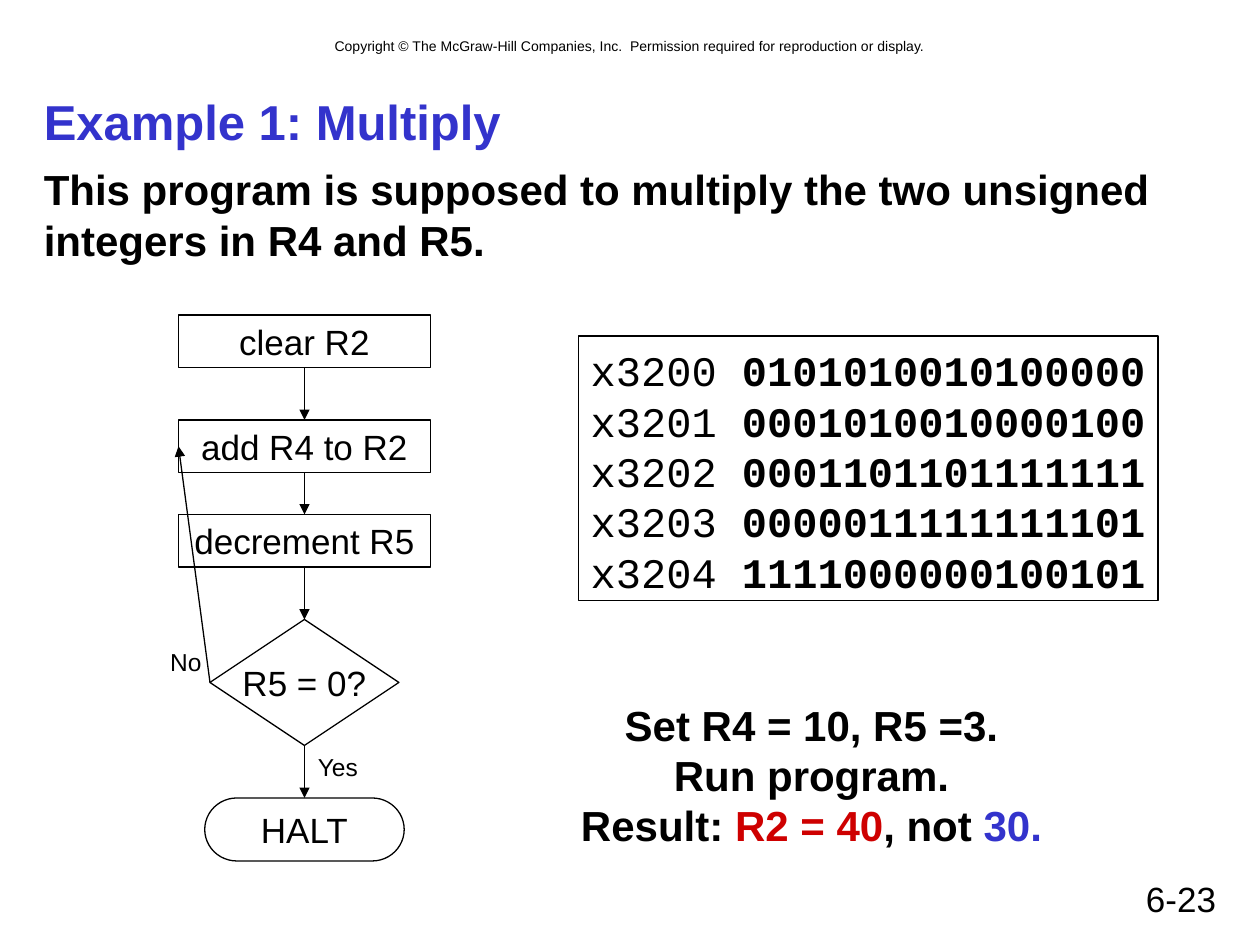
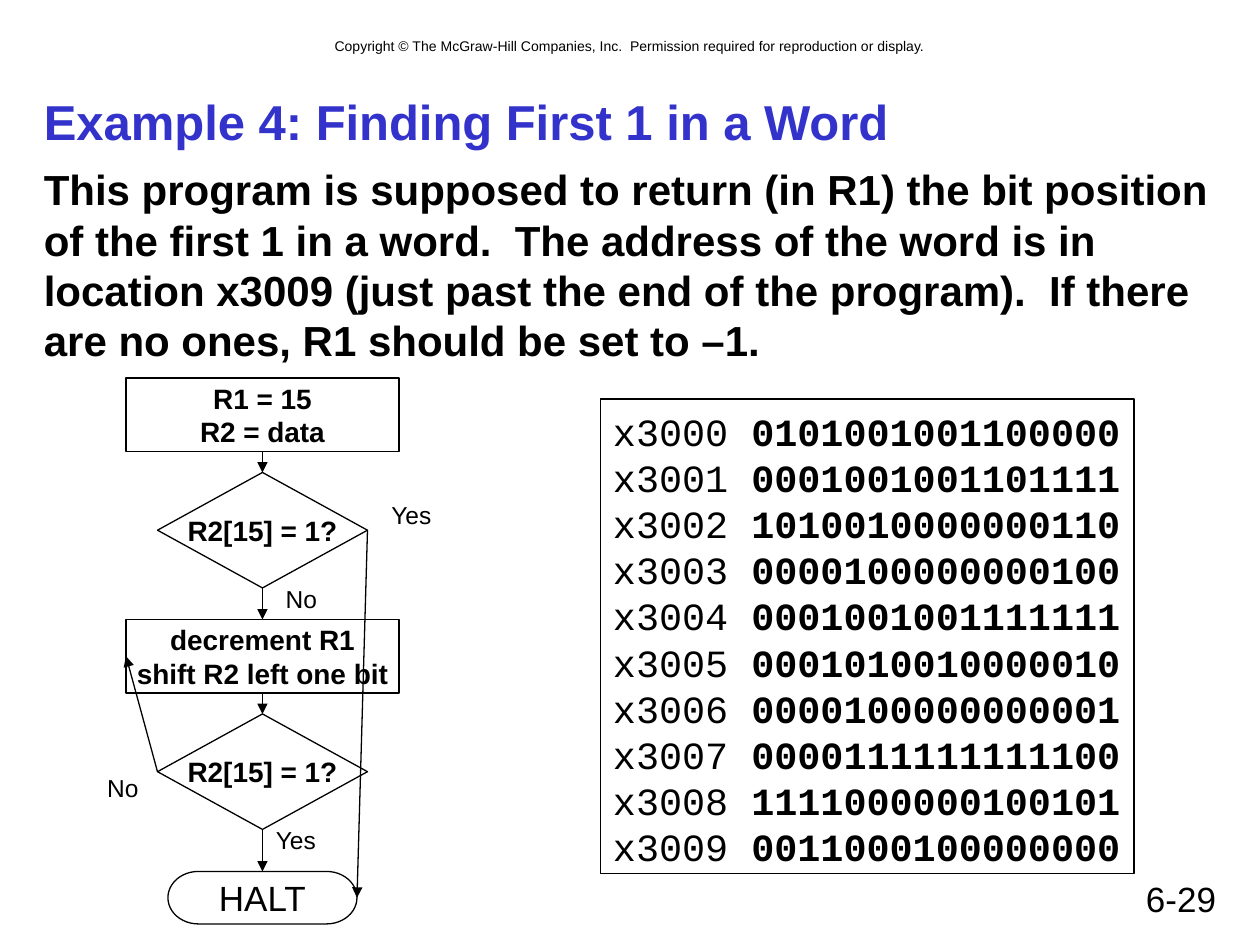
from pptx import Presentation
from pptx.dml.color import RGBColor
from pptx.enum.shapes import MSO_CONNECTOR, MSO_SHAPE
from pptx.enum.text import MSO_ANCHOR, PP_ALIGN
from pptx.oxml.ns import qn
from pptx.util import Pt
from lxml import etree

STEP = MSO_SHAPE.FLOWCHART_PROCESS
TEST = MSO_SHAPE.FLOWCHART_DECISION
STOP = MSO_SHAPE.FLOWCHART_TERMINATOR
RECT = MSO_SHAPE.RECTANGLE
LINE = MSO_CONNECTOR.STRAIGHT
LEFT, MID, RIGHT = PP_ALIGN.LEFT, PP_ALIGN.CENTER, PP_ALIGN.RIGHT
TOP, CENTER = MSO_ANCHOR.TOP, MSO_ANCHOR.MIDDLE
NORTH, WEST, SOUTH, EAST = range(4)

COLORS = {"ink": "000000", "blue": "3333CC", "red": "CE0000"}
SANS, MONO = "Arial", "Courier New"
LEAD = 1.2
PAD_X, PAD_Y = 7.2, 3.6
COPY = ("Copyright © The McGraw-Hill Companies, Inc.  "
        "Permission required for reproduction or display.")


def color(name):
    return RGBColor.from_string(COLORS[name])


def write(shape, lines, size=20, font=SANS, ink="ink", bold=False,
          align=LEFT, anchor=TOP, wrap=False, drop=0):
    frame = shape.text_frame
    frame.word_wrap = wrap
    frame.vertical_anchor = anchor
    frame.margin_left = frame.margin_right = Pt(PAD_X)
    frame.margin_top, frame.margin_bottom = Pt(PAD_Y + drop), Pt(PAD_Y)
    for i, line in enumerate(lines):
        para = frame.add_paragraph() if i else frame.paragraphs[0]
        para.alignment = align
        para.line_spacing = Pt(LEAD * size)
        parts = [(line, {})] if isinstance(line, str) else line
        for text, style in parts:
            for j, piece in enumerate(text.split("\n")):
                if j:
                    para.add_line_break()
                run = para.add_run()
                run.text = piece
                run.font.name = font
                run.font.size = Pt(size)
                run.font.bold = style.get("bold", bold)
                run.font.color.rgb = color(style.get("ink", ink))


def label(slide, box, lines, **style):
    shape = slide.shapes.add_textbox(*map(Pt, box))
    write(shape, lines, **style)


def outline(slide, kind, box):
    shape = slide.shapes.add_shape(kind, *map(Pt, box))
    shape.shadow.inherit = False
    shape.fill.background()
    shape.line.color.rgb = color("ink")
    shape.line.width = Pt(0.75)
    return shape


def arrow(slide, start, out, end, into):
    link = slide.shapes.add_connector(LINE, 0, 0, 0, 0)
    link.begin_connect(start, out)
    link.end_connect(end, into)
    link.line.color.rgb = color("ink")
    link.line.width = Pt(0.75)
    etree.SubElement(link.line._get_or_add_ln(), qn("a:tailEnd"), type="triangle")
    etree.SubElement(link._element.spPr, qn("a:effectLst"))


def page(deck, title, body, number):
    slide = deck.slides.add_slide(deck.slide_layouts[6])
    label(slide, (48, 18, 624, 17), [COPY], size=8, align=MID, wrap=True)
    label(slide, (516, 498, 186, 30), [number], align=RIGHT, wrap=True)
    label(slide, (18, 48, 684, 42), [title], size=28, ink="blue", bold=True,
          anchor=CENTER, wrap=True)
    label(slide, (18, 90, 684, 78), [body], size=24, bold=True, wrap=True)
    return slide


def listing(slide, left, top, size, start, words):
    width = 22 * 0.6 * size + 2 * PAD_X
    height = len(words) * LEAD * size + 2 * PAD_Y
    lines = [[(f"x{start + i:04X}", {}), (" " + word, {"bold": True})]
             for i, word in enumerate(words)]
    shape = outline(slide, RECT, (left, top, width, height))
    write(shape, lines, size=size, font=MONO, drop=0.06 * size)


def flow(slide, axis, top, steps, loops, notes):
    nodes = []
    for kind, down, wide, high, lines, size, bold in steps:
        node = outline(slide, kind, (axis - wide / 2, top + down, wide, high))
        write(node, lines, size=size, bold=bold, align=MID, anchor=CENTER)
        nodes.append(node)
    for above, below in zip(nodes, nodes[1:]):
        arrow(slide, above, SOUTH, below, NORTH)
    for start, end, side in loops:
        arrow(slide, nodes[start], side, nodes[end], side)
    for text, right, down in notes:
        wide = 38.2 if text == "Yes" else 32.4
        label(slide, (axis + right, top + down, wide, 24), [text],
              size=14, align=MID)


def multiply(deck):
    slide = page(deck, "Example 1: Multiply",
                 "This program is supposed to multiply the two unsigned\n"
                 "integers in R4 and R5.", "6-23")
    listing(slide, 330.5, 192, 24, 0x3200, [
        "0101010010100000", "0001010010000100", "0001101101111111",
        "0000011111111101", "1111000000100101"])
    flow(slide, 174, 180, [
        (STEP, 0, 144, 30, ["clear R2"], 20, False),
        (STEP, 60, 144, 30, ["add R4 to R2"], 20, False),
        (STEP, 114, 144, 30, ["decrement R5"], 20, False),
        (TEST, 174, 108, 72, ["R5 = 0?"], 20, False),
        (STOP, 276, 114, 36, ["HALT"], 20, False),
    ], [(3, 1, WEST)], [("No", -84, 186), ("Yes", 0, 246)])
    label(slide, (324.7, 396, 278, 93.6), [
        "Set R4 = 10, R5 =3.", "Run program.",
        [("Result: ", {}), ("R2 = 40", {"ink": "red"}),
         (", not", {}), (" 30.", {"ink": "blue"})],
    ], size=24, bold=True, align=MID)


def first_one(deck):
    slide = page(deck, "Example 4: Finding First 1 in a Word",
                 "This program is supposed to return (in R1) the bit position "
                 "of the first 1 in a word.  The address of the word is in "
                 "location x3009 (just past the end of the program).  If there\n"
                 "are no ones, R1 should be set to –1.", "6-29")
    listing(slide, 343.2, 228, 22, 0x3000, [
        "0101001001100000", "0001001001101111", "1010010000000110",
        "0000100000000100", "0001001001111111", "0001010010000010",
        "0000100000000001", "0000111111111100", "1111000000100101",
        "0011000100000000"])
    check = (120, 66, ["R2[15] = 1?"], 16, True)
    flow(slide, 150, 216, [
        (STEP, 0, 156, 42, ["R1 = 15", "R2 = data"], 16, True),
        (TEST, 54, *check),
        (STEP, 138, 156, 42, ["decrement R1", "shift R2 left one bit"], 16, True),
        (TEST, 192, *check),
        (STOP, 282, 108, 30, ["HALT"], 20, False),
    ], [(1, 4, EAST), (3, 2, WEST)],
        [("Yes", 66, 66), ("Yes", 0, 252), ("No", 6, 114), ("No", -96, 222)])


def main():
    deck = Presentation()
    deck.slide_width, deck.slide_height = Pt(720), Pt(540)
    multiply(deck)
    first_one(deck)
    deck.save("out.pptx")


if __name__ == "__main__":
    main()
